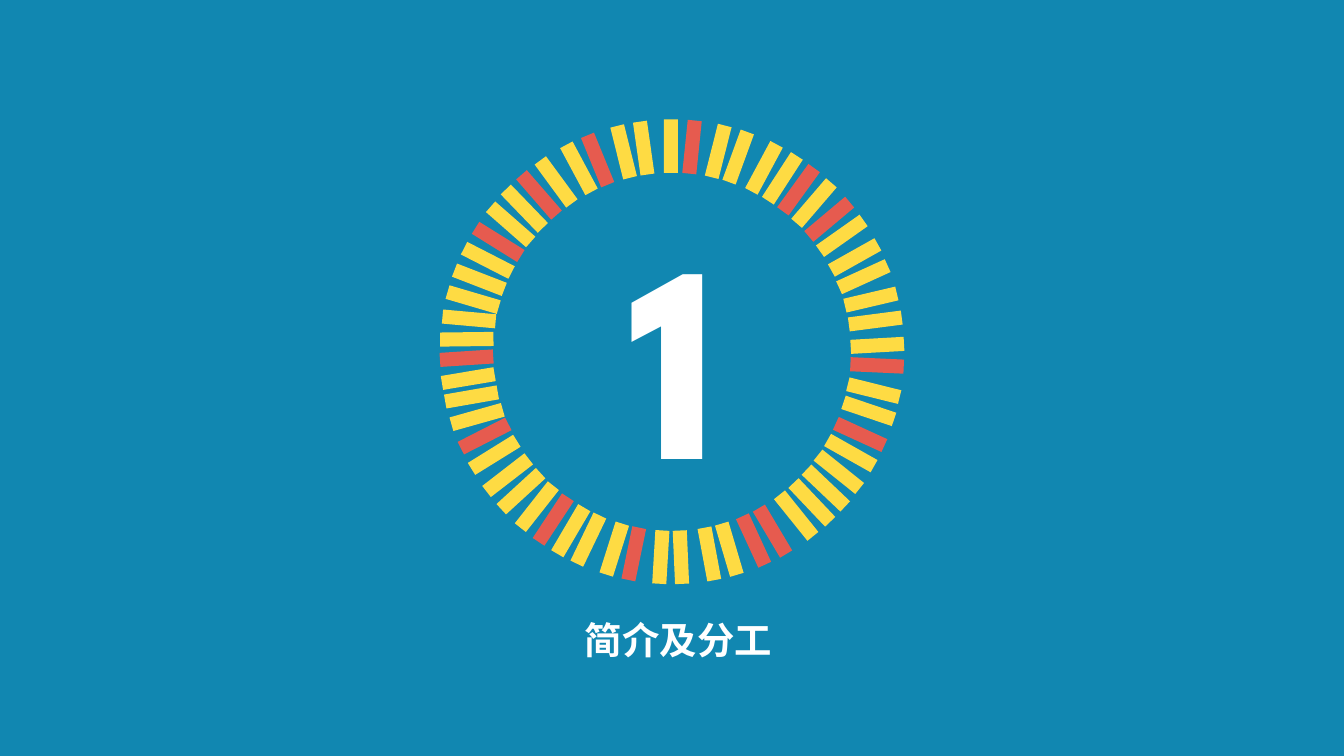
from math import cos, radians, sin

from pptx import Presentation
from pptx.dml.color import RGBColor
from pptx.enum.shapes import MSO_SHAPE as SHAPE
from pptx.enum.text import MSO_AUTO_SIZE as FIT, PP_ALIGN as ALIGN
from pptx.util import Inches, Pt

COLORS = {
    "background": "1187B1",
    "yellow": "FEDB43",
    "red": "E65B4F",
    "white": "FFFFFF",
}
FONT = "League Spartan"

RING_X, RING_Y, RING_RADIUS = 6.67, 3.49, 2.04
RAY_WIDTH, RAY_HEIGHT = 0.14, 0.53

# Every arc tilts its rays by these degrees plus its own turn.
TILTS = [0, 5.9, 14.2, 20.1, 28.2, 32.9, 35.9, 40.7,
         50, 54.8, 60.7, 65.5, 76.8, 82.6, 83, 88.8]

# Angles run from the top or the bottom of the ring towards one side:
# across is 1 for right and -1 for left, down is 1 for bottom and -1 for top.
ARCS = [
    {"across": 1, "down": -1, "turn": 0, "red": {1, 6, 8},
     "angles": [-0.3, 5.6, 13, 18.8, 26.6, 32.5, 38,
                43.7, 49.9, 55.7, 62.7, 68.6, 75.3, 81.4]},
    {"across": -1, "down": -1, "turn": 8.1, "red": {2, 5, 8},
     "angles": [7.9, 13.6, 21.2, 26.9, 34.3, 40.3, 45.9,
                51.7, 57.7, 63.6, 69.5, 75.3, 80.8, 86.5]},
    {"across": 1, "down": 1, "turn": 10.6, "red": {2, 3, 9, 12},
     "angles": [10.5, 16.2, 23.4, 29.3, 37.2, 42.9, 48.5,
                54.3, 60.5, 66.3, 73.3, 79.1, 86.2, 91.8]},
    {"across": -1, "down": 1, "turn": -2.5, "red": {2, 6, 11, 15},
     "angles": [-2.5, 3.1, 10.7, 16.3, 24, 29.5, 35.3, 41.1,
                47.3, 53.1, 59.9, 65.8, 71.5, 77.3, 82.5, 88.2]},
]


def rgb(color):
    """Return the named colour."""
    return RGBColor.from_string(COLORS[color])


def add_ray(shapes, x, y, rotation, color):
    """Add one bar of the ring, centred on x and y."""
    ray = shapes.add_shape(
        SHAPE.RECTANGLE, Inches(x - RAY_WIDTH / 2), Inches(y - RAY_HEIGHT / 2),
        Inches(RAY_WIDTH), Inches(RAY_HEIGHT))
    ray.rotation = rotation % 360
    ray.shadow.inherit = False
    ray.fill.solid()
    ray.fill.fore_color.rgb = rgb(color)
    ray.line.fill.background()


def add_arc(shapes, across, down, turn, red, angles):
    """Add the rays of one quarter of the ring."""
    for index, (angle, tilt) in enumerate(zip(angles, TILTS)):
        x = RING_X + across * RING_RADIUS * sin(radians(angle))
        y = RING_Y + down * RING_RADIUS * cos(radians(angle))
        color = "red" if index in red else "yellow"
        add_ray(shapes, x, y, -across * down * (tilt + turn), color)


def add_label(shapes, text, box, size, wrap, line_spacing):
    """Add a centred line of bold white text."""
    label = shapes.add_textbox(*map(Inches, box))
    frame = label.text_frame
    frame.word_wrap = wrap
    frame.auto_size = FIT.SHAPE_TO_FIT_TEXT
    paragraph = frame.paragraphs[0]
    paragraph.alignment = ALIGN.CENTER
    paragraph.line_spacing = line_spacing
    run = paragraph.add_run()
    run.text = text
    font_format = {"name": FONT, "size": Pt(size), "bold": True}
    for attribute, value in font_format.items():
        setattr(run.font, attribute, value)
    run.font.color.rgb = rgb("white")


def main():
    """Build the section slide."""
    deck = Presentation()
    deck.slide_width, deck.slide_height = Inches(13.34), Inches(7.5)
    slide = deck.slides.add_slide(deck.slide_layouts[6])
    slide.background.fill.solid()
    slide.background.fill.fore_color.rgb = rgb("background")

    badge = slide.shapes.add_group_shape()
    for arc in ARCS:
        add_arc(badge.shapes, **arc)
    add_label(badge.shapes, "1", (5.81, 1.73, 1.77, 3.47), 200, False, 1.0)
    add_label(slide.shapes, "简介及分工", (4.88, 6.03, 3.71, 0.56), 26.7, True, 1.1)
    deck.save("out.pptx")


main()
